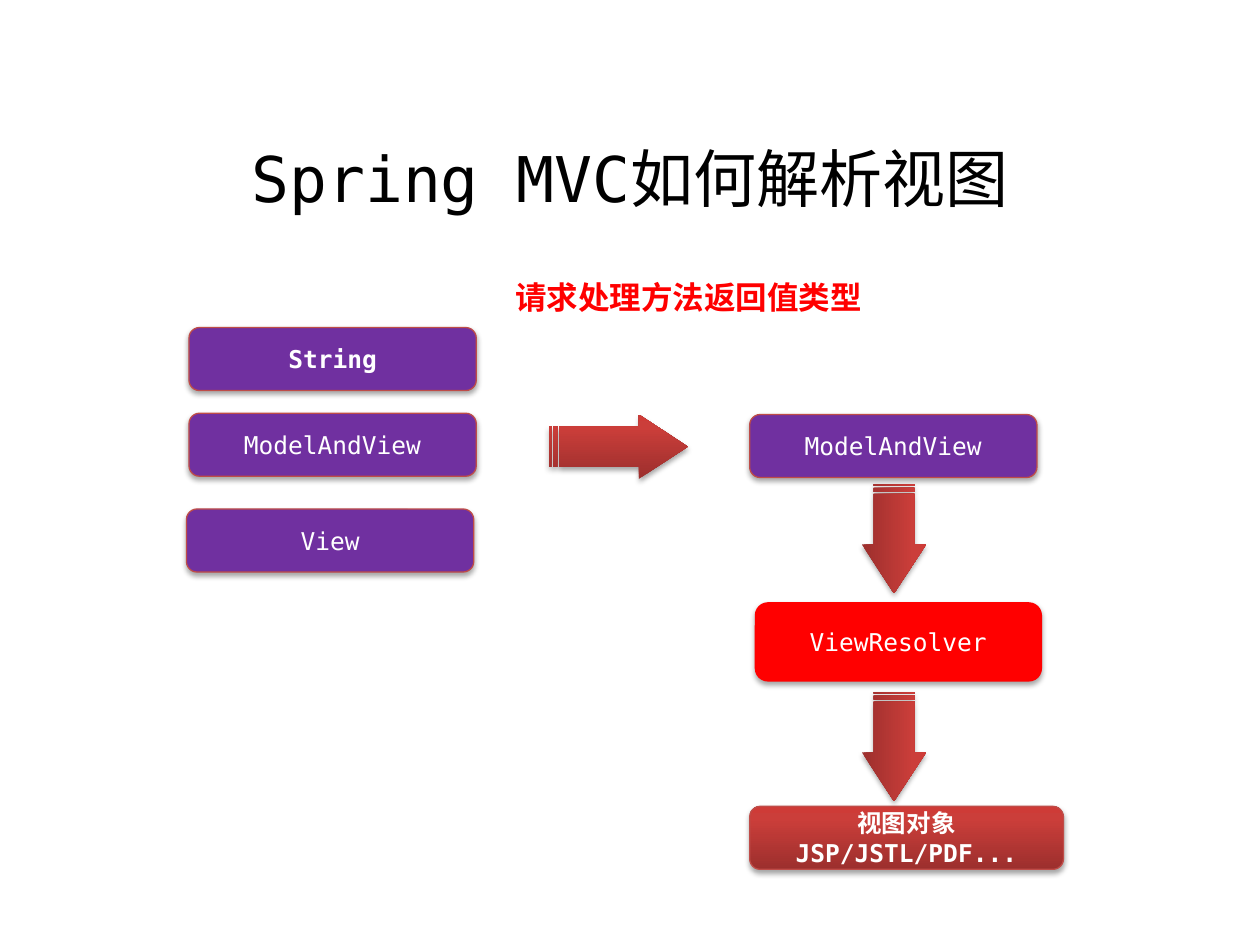
from copy import deepcopy
from dataclasses import dataclass

from lxml.etree import SubElement
from pptx import Presentation
from pptx.dml.color import RGBColor
from pptx.enum.shapes import MSO_SHAPE as Shape
from pptx.enum.text import MSO_ANCHOR as Anchor, MSO_AUTO_SIZE as AutoSize, PP_ALIGN as Align
from pptx.oxml.ns import qn
from pptx.util import Inches, Pt

CELL = Inches(0.1)  # the slide is a grid of 100 columns by 75 rows


@dataclass(frozen=True)
class Theme:
    font: str = "DejaVu Sans Mono"
    title_size: int = 36
    label_size: int = 18
    node_size: int = 14
    ink: str = "000000"
    light: str = "FFFFFF"
    accent: str = "FF0000"
    purple: str = "7030A0"
    outline: str = "BF4C48"
    outline_width: float = 0.75
    gradient: tuple = ((0, "9C2F2D"), (0.8, "CB3E3A"), (1, "CE3B37"))


THEME = Theme()


@dataclass(frozen=True)
class Box:
    left: float
    top: float
    width: float
    height: float

    def inner(self, left, top, width, height):
        """Return a box placed from this box's top left corner."""
        return Box(self.left + left, self.top + top, width, height)

    def emu(self):
        return [round(cells * CELL) for cells in (self.left, self.top, self.width, self.height)]


def write(frame, lines, size, color, bold=False, align=Align.CENTER):
    frame.vertical_anchor = Anchor.MIDDLE
    for index, line in enumerate(lines):
        para = frame.paragraphs[0] if index == 0 else frame.add_paragraph()
        para.alignment = align
        span = para.add_run()
        span.text = line
        span.font.name = THEME.font
        span.font.size = Pt(size)
        span.font.bold = bold
        span.font.color.rgb = RGBColor.from_string(color)


def add_shadow(shape):
    shape.shadow.inherit = False
    effects = shape._element.spPr.find(qn("a:effectLst"))
    shadow = SubElement(effects, qn("a:outerShdw"), blurRad=str(Pt(3.1)),
                        dist=str(Pt(1.8)), dir="5400000", rotWithShape="0")
    color = SubElement(shadow, qn("a:srgbClr"), val=THEME.ink)
    SubElement(color, qn("a:alpha"), val="35000")


def paint(shape, color=None, outlined=False):
    """Fill with the colour, or with the theme's gradient if there is none."""
    if color:
        shape.fill.solid()
        shape.fill.fore_color.rgb = RGBColor.from_string(color)
    else:
        shape.fill.gradient()
        shape.fill.gradient_angle = 90
        stops = next(shape._element.spPr.iter(qn("a:gsLst")))
        stops.append(deepcopy(stops[0]))
        for stop, (position, shade) in zip(shape.fill.gradient_stops, THEME.gradient):
            stop.position = position
            stop.color.rgb = RGBColor.from_string(shade)
    if outlined:
        shape.line.color.rgb = RGBColor.from_string(THEME.outline)
        shape.line.width = Pt(THEME.outline_width)
    else:
        shape.line.fill.background()
    add_shadow(shape)


def add_node(page, box, lines, color=None, outlined=True, bold=False):
    node = page.shapes.add_shape(Shape.ROUNDED_RECTANGLE, *box.emu())
    paint(node, color, outlined)
    node.text_frame.word_wrap = True
    write(node.text_frame, lines, THEME.node_size, THEME.light, bold)


def add_arrow(page, box, rotation=0):
    arrow = page.shapes.add_shape(Shape.STRIPED_RIGHT_ARROW, *box.emu())
    arrow.adjustments[0] = 0.631
    arrow.adjustments[1] = 0.762
    arrow.rotation = rotation
    paint(arrow)


def add_title(page, box):
    frame = page.shapes.add_textbox(*box.emu()).text_frame
    frame.word_wrap = True
    write(frame, ["Spring MVC如何解析视图"], THEME.title_size, THEME.ink)


def add_label(page, box):
    frame = page.shapes.add_textbox(*box.emu()).text_frame
    frame.word_wrap = False
    frame.auto_size = AutoSize.SHAPE_TO_FIT_TEXT
    write(frame, ["请求处理方法返回值类型"], THEME.label_size, THEME.accent, True, Align.LEFT)


def add_return_types(page, box):
    rows = (("String", 0.2, 0, True), ("ModelAndView", 0.2, 6.8, False), ("View", 0, 14.4, False))
    for name, left, top, bold in rows:
        add_node(page, box.inner(left, top, 22.8, 5), [name], THEME.purple, bold=bold)


def add_view_chain(page, box):
    """Stack the resolving steps, with a downward arrow after each but the last."""
    add_node(page, box.inner(0, 0, 22.8, 5), ["ModelAndView"], THEME.purple)
    add_node(page, box.inner(0.4, 14.9, 22.8, 6.3), ["ViewResolver"], THEME.accent, outlined=False)
    add_node(page, box.inner(0, 31.1, 24.9, 5), ["视图对象", "JSP/JSTL/PDF..."], bold=True)
    for step in range(2):
        add_arrow(page, box.inner(7.1, 7.3 + 16.5 * step, 8.7, 5.1), rotation=90)


def main():
    deck = Presentation()
    deck.slide_width, deck.slide_height = 100 * CELL, 75 * CELL
    page = deck.slides.add_slide(deck.slide_layouts[6])
    add_title(page, Box(5, 7.8, 90, 12.5))
    add_return_types(page, Box(14.8, 26, 23, 19.4))
    add_view_chain(page, Box(59.5, 32.9, 24.9, 36.1))
    add_arrow(page, Box(43.6, 32.9, 11, 5.1))
    add_label(page, Box(39.9, 21.6, 29.8, 4))
    deck.save("out.pptx")


if __name__ == "__main__":
    main()
